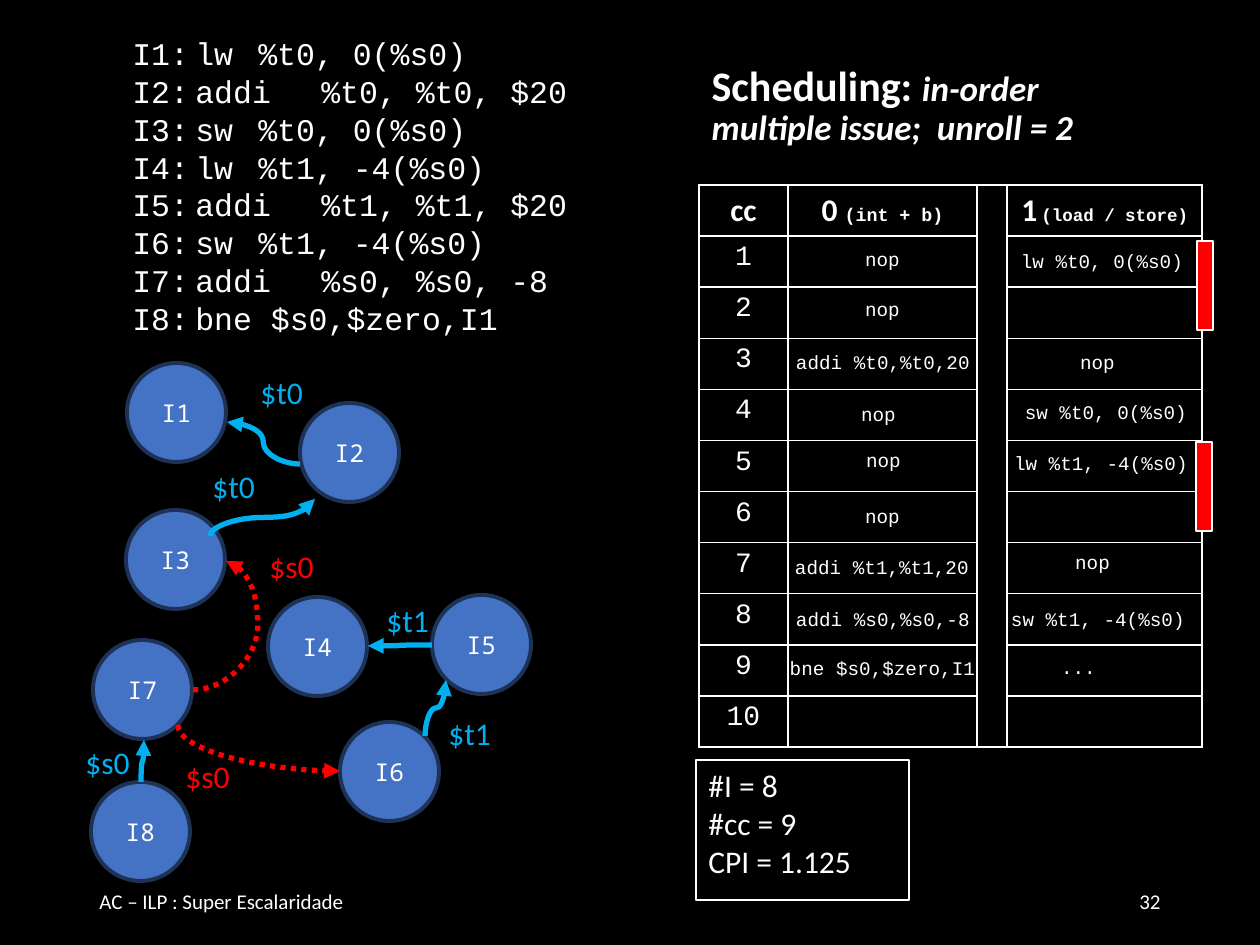
from lxml import etree
from pptx import Presentation
from pptx import util as u
from pptx.dml.color import RGBColor
from pptx.enum import dml, shapes, text
from pptx.oxml import ns

SCALE = 914400 / 126
BLACK = RGBColor(0x00, 0x00, 0x00)
WHITE = RGBColor(0xFF, 0xFF, 0xFF)
RED = RGBColor(0xFF, 0x00, 0x00)
SKY = RGBColor(0x00, 0xB0, 0xF0)
BLUE = RGBColor(0x44, 0x72, 0xC4)
NAVY = RGBColor(0x1E, 0x32, 0x56)
LEFT, CENTER, RIGHT = text.PP_ALIGN.LEFT, text.PP_ALIGN.CENTER, text.PP_ALIGN.RIGHT
MONO = "Courier New"
NODE = 99

CODE = [
    "I1:\tlw \t%t0, 0(%s0)",
    "I2:\taddi\t%t0, %t0, $20",
    "I3:\tsw\t%t0, 0(%s0)",
    "I4:\tlw \t%t1, -4(%s0)",
    "I5:\taddi\t%t1, %t1, $20",
    "I6:\tsw\t%t1, -4(%s0)",
    "I7:\taddi\t%s0, %s0, -8",
    "I8:\tbne $s0,$zero,I1",
]
SLOTS = [
    ("nop", 153, 56), ("lw %t0, 0(%s0)", 308, 58),
    ("nop", 153, 106),
    ("addi %t0,%t0,20", 83, 159), ("nop", 368, 159),
    ("nop", 149, 211), ("sw %t0, 0(%s0)", 312, 209),
    ("nop", 154, 257), ("lw %t1, -4(%s0)", 301, 260),
    ("nop", 153, 313),
    ("addi %t1,%t1,20", 82, 364), ("nop", 363, 359),
    ("addi %s0,%s0,-8", 83, 416), ("sw %t1, -4(%s0)", 298, 416),
    ("bne $s0,$zero,I1", 77, 465), ("...", 349, 464),
]
STALLS = [(498, 56), (497, 257)]
NODES = [(54, 0), (227, 40), (53, 147), (195, 234),
         (359, 232), (267, 359), (20, 277), (18, 419)]
EDGES = [
    ((227, 101), (154, 59), {}),
    ((137, 173), (242, 136), {"upright": True}),
    ((359, 282), (295, 283), {}),
    ((352, 373), (373, 317), {"upright": True}),
    ((105, 362), (267, 408), {"upright": True, "color": RED, "preset": "curvedConnector2"}),
    ((68, 419), (71, 377), {"upright": True}),
    ((120, 327), (153, 198), {"color": RED, "bend": 196400}),
]
EDGE_LABELS = [
    ("$t0", 175, 4, SKY), ("$t0", 127, 98, SKY), ("$t1", 301, 232, SKY), ("$t1", 363, 345, SKY),
    ("$s0", 100, 388, RED), ("$s0", 0, 374, SKY), ("$s0", 184, 178, RED),
]


def px(*values):
    return [u.Emu(round(v * SCALE)) for v in values]


def write(p, txt, size=18, font="Calibri", color=WHITE, bold=False, italic=False, align=LEFT):
    p.alignment = align
    r = p.add_run()
    r.text = txt
    r.font.size = u.Pt(size)
    r.font.name = font
    r.font.color.rgb = color
    r.font.bold = bold
    r.font.italic = italic


def write_lines(tf, lines, **fmt):
    for i, line in enumerate(lines):
        write(tf.add_paragraph() if i else tf.paragraphs[0], line, **fmt)


def add_label(s, x, y, w, h, lines, wrap=False, anchor=text.MSO_ANCHOR.TOP, **fmt):
    tf = s.shapes.add_textbox(*px(x, y, w, h)).text_frame
    tf.word_wrap = wrap
    tf.auto_size = text.MSO_AUTO_SIZE.NONE if wrap else text.MSO_AUTO_SIZE.SHAPE_TO_FIT_TEXT
    tf.vertical_anchor = anchor
    write_lines(tf, lines, **fmt)
    return tf


def add_box(s, kind, x, y, w, h, fill, line, width):
    sp = s.shapes.add_shape(kind, *px(x, y, w, h))
    sp.shadow.inherit = False
    if fill is None:
        sp.fill.background()
    else:
        sp.fill.solid()
        sp.fill.fore_color.rgb = fill
    sp.line.color.rgb = line
    sp.line.width = u.Pt(width)
    return sp


def add_title(s, x, y, w, h):
    sp = s.shapes.title
    sp.left, sp.top, sp.width, sp.height = px(x, y, w, h)
    sp.text_frame.vertical_anchor = text.MSO_ANCHOR.MIDDLE
    p = sp.text_frame.paragraphs[0]
    p.line_spacing = 0.9
    write(p, "Scheduling: ", size=24, bold=True)
    write(p, "in-order multiple issue;  unroll = 2", size=20, bold=True, italic=True)


def add_code(s, x, y, w, h):
    tf = add_label(s, x, y, w, h, CODE, font=MONO)
    for p in tf.paragraphs:
        tabs = etree.SubElement(p._p.get_or_add_pPr(), ns.qn("a:tabLst"))
        for stop in px(63, 126, 189):
            etree.SubElement(tabs, ns.qn("a:tab"), pos=str(stop), algn="l")


def format_cell(cell):
    cell.fill.solid()
    cell.fill.fore_color.rgb = BLACK
    tcPr = cell._tc.get_or_add_tcPr()
    for i, side in enumerate(("lnL", "lnR", "lnT", "lnB")):
        ln = etree.Element(ns.qn("a:" + side), w=str(u.Pt(1)))
        fill = etree.SubElement(ln, ns.qn("a:solidFill"))
        etree.SubElement(fill, ns.qn("a:srgbClr"), val=str(WHITE))
        tcPr.insert(i, ln)


def add_schedule(s, x, y, w, h):
    table = s.shapes.add_table(11, 4, *px(x, y, w, h)).table
    for col, width in zip(table.columns, px(89, 189, 30, 195)):
        col.width = width
    for row in table.rows:
        row.height = px(h / 11)[0]
        for cell in row.cells:
            format_cell(cell)
    table.cell(0, 2).merge(table.cell(10, 2))
    heads = {0: [("cc", 18, "Calibri")],
             1: [("0 ", 18, "Calibri"), ("(int + b)", 10.5, MONO)],
             3: [("1", 18, "Calibri"), (" ", 10.5, "Calibri"), ("(load / store)", 10, MONO)]}
    for c, runs in heads.items():
        for txt, size, font in runs:
            write(table.cell(0, c).text_frame.paragraphs[0], txt,
                  size=size, font=font, bold=True, align=CENTER)
    for n in range(1, 11):
        write(table.cell(n, 0).text_frame.paragraphs[0], str(n), size=16, font=MONO, align=CENTER)
    for txt, dx, dy in SLOTS:
        add_label(s, x + dx, y + dy, round(26 + 11.7 * len(txt)), 36, [txt],
                  size=11, font=MONO, align=CENTER)
    for dx, dy in STALLS:
        add_box(s, shapes.MSO_SHAPE.RECTANGLE, x + dx, y + dy, 16, 89, RED, WHITE, 0.75)


def add_edge(s, x1, y1, x2, y2, color=SKY, upright=False, preset="curvedConnector3", bend=50000):
    if upright:
        cx, cy, dx, dy = (x1 + x2) / 2, (y1 + y2) / 2, (x2 - x1) / 2, (y2 - y1) / 2
        x1, y1, x2, y2 = cx - dy, cy + dx, cx + dy, cy - dx
    cxn = s.shapes.add_connector(shapes.MSO_CONNECTOR.CURVE, *px(x1, y1, x2, y2))
    cxn.line.color.rgb = color
    cxn.line.width = u.Pt(3)
    if color == RED:
        cxn.line.dash_style = dml.MSO_LINE.ROUND_DOT
    spPr = cxn._element.spPr
    if upright:
        spPr.find(ns.qn("a:xfrm")).set("rot", "5400000")
    geom = spPr.find(ns.qn("a:prstGeom"))
    geom.set("prst", preset)
    if preset == "curvedConnector3":
        etree.SubElement(geom.find(ns.qn("a:avLst")), ns.qn("a:gd"), name="adj1", fmla=f"val {bend}")
    etree.SubElement(cxn.line._get_or_add_ln(), ns.qn("a:tailEnd"), type="triangle")
    etree.SubElement(spPr, ns.qn("a:effectLst"))


def add_graph(s, x, y):
    for n, (dx, dy) in enumerate(NODES, 1):
        sp = add_box(s, shapes.MSO_SHAPE.OVAL, x + dx, y + dy, NODE, NODE, BLUE, NAVY, 2.25)
        write_lines(sp.text_frame, [f"I{n}"], size=14, font="Noto Sans Mono", align=CENTER)
    for (x1, y1), (x2, y2), fmt in EDGES:
        add_edge(s, x + x1, y + y1, x + x2, y + y2, **fmt)
    for txt, dx, dy, color in EDGE_LABELS:
        add_label(s, x + dx, y + dy, 74, 50, [txt], wrap=True, color=color)


def add_summary(s, x, y, w, h):
    sp = add_box(s, shapes.MSO_SHAPE.RECTANGLE, x, y, w, h, None, WHITE, 0.75)
    sp.text_frame.vertical_anchor = text.MSO_ANCHOR.TOP
    write_lines(sp.text_frame, ["#I = 8", "#cc = 9", "CPI = 1.125"])


def add_footer(s, x, y, w, h):
    fmt = dict(wrap=True, anchor=text.MSO_ANCHOR.MIDDLE, size=12)
    add_label(s, x, y, 284, h, ["AC – ILP : Super Escalaridade"], **fmt)
    add_label(s, x + w - 284, y, 284, h, ["32"], align=RIGHT, **fmt)


def main():
    prs = Presentation()
    prs.slide_width, prs.slide_height = px(1260, 945)
    s = prs.slides.add_slide(prs.slide_layouts[5])
    s.background.fill.solid()
    s.background.fill.fore_color.rgb = BLACK
    add_title(s, 699, 50, 474, 113)
    add_footer(s, 87, 876, 1086, 50)
    add_schedule(s, 699, 185, 503, 562)
    add_summary(s, 696, 760, 213, 140)
    add_code(s, 120, 28, 464, 317)
    add_graph(s, 73, 363)
    prs.save("out.pptx")


if __name__ == "__main__":
    main()
